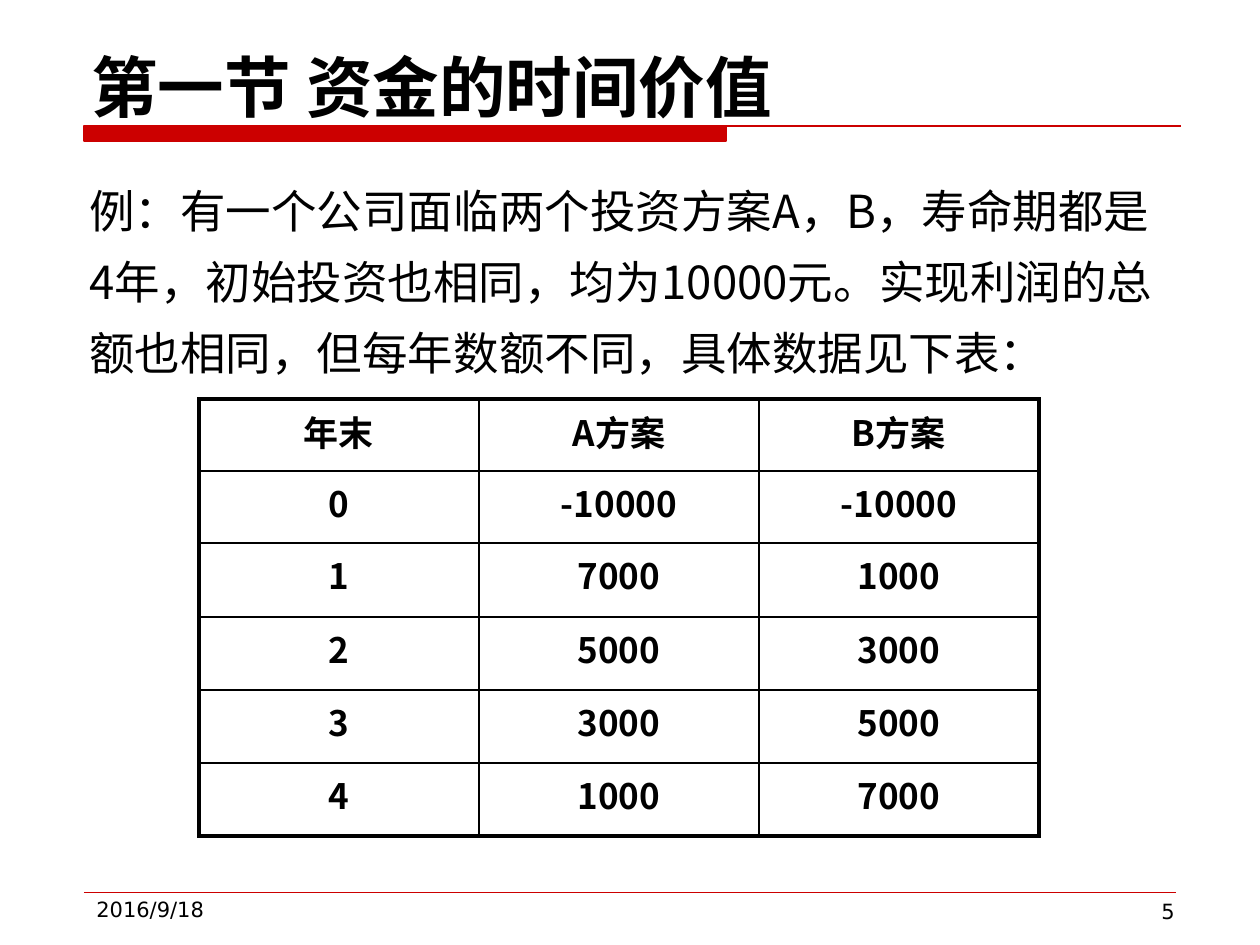
from lxml.etree import SubElement
from pptx import Presentation
from pptx.dml.color import RGBColor
from pptx.enum.shapes import MSO_CONNECTOR as CONN
from pptx.enum.text import MSO_ANCHOR as ANCHOR, PP_ALIGN as ALIGN
from pptx.oxml.ns import qn
from pptx.util import Pt

PX = 914400 // 126
CJK, SANS = "Noto Sans CJK SC", "DejaVu Sans"
BLACK, RED = "000000", "CC0000"

TITLE = "第一节 资金的时间价值"
BODY = ("例：有一个公司面临两个投资方案A，B，寿命期都是4年，初始投资也相同，"
        "均为10000元。实现利润的总额也相同，但每年数额不同，具体数据见下表：")
ROWS = [
    ("年末", "A方案", "B方案"),
    ("0", "-10000", "-10000"),
    ("1", "7000", "1000"),
    ("2", "5000", "3000"),
    ("3", "3000", "5000"),
    ("4", "1000", "7000"),
]
ROW_HEIGHTS = [72, 72, 74, 73, 73, 73]
COL_WIDTH = 280
BAR = [(84, 126), (726, 126), (726, 141), (84, 141)]
RULE = [(84, 126), (1181, 126)]


def px(*values):
    return [v * PX for v in values]


def color(value):
    return RGBColor.from_string(value)


def write(tf, text, size, font=CJK, bold=False, align=ALIGN.LEFT):
    p = tf.paragraphs[0]
    p.alignment = align
    r = p.add_run()
    r.text = text
    f = r.font
    f.name, f.size, f.bold = font, Pt(size), bold
    f.color.rgb = color(BLACK)
    SubElement(r._r.get_or_add_rPr(), qn("a:ea"), typeface=font)
    return p


def add_text(box, text, size, anchor=ANCHOR.TOP, top=6, bottom=6, **style):
    tf = s.shapes.add_textbox(*px(*box)).text_frame
    tf.word_wrap = True
    tf.vertical_anchor = anchor
    tf.margin_top, tf.margin_bottom = px(top, bottom)
    return write(tf, text, size, **style)


def add_border(cell, side, width):
    ln = SubElement(cell._tc.get_or_add_tcPr(), qn(f"a:ln{side}"), w=str(Pt(width)))
    fill = SubElement(ln, qn("a:solidFill"))
    SubElement(fill, qn("a:srgbClr"), val=BLACK)


prs = Presentation()
prs.slide_width, prs.slide_height = px(1260, 945)
s = prs.slides.add_slide(prs.slide_layouts[6])

fb = s.shapes.build_freeform(*BAR[0], scale=PX)
fb.add_line_segments(BAR[1:], close=True)
fb.move_to(*RULE[0])
fb.add_line_segments(RULE[1:], close=False)
sp = fb.convert_to_shape()
sp.shadow.inherit = False
sp.fill.solid()
sp.fill.fore_color.rgb = sp.line.color.rgb = color(RED)
sp.line.width = Pt(0.75)

footer = s.shapes.add_connector(CONN.STRAIGHT, *px(84, 892, 1176, 892))
footer.line.color.rgb = color(RED)
footer.line.width = Pt(0.25)
SubElement(footer._element.spPr, qn("a:effectLst"))

add_text((84, 891, 273, 44), "2016/9/18", 12, font=SANS)
add_text((914, 893, 273, 34), "5", 12, font=SANS, align=ALIGN.RIGHT)
add_text((79, 0, 1103, 126), TITLE, 38, ANCHOR.BOTTOM, bottom=0, bold=True)

frame = s.shapes.add_table(len(ROWS), len(ROWS[0]),
                           *px(199, 399, COL_WIDTH * len(ROWS[0]), sum(ROW_HEIGHTS)))
table = frame.table
table.first_row = table.horz_banding = False
for col in table.columns:
    col.width = COL_WIDTH * PX
for i, (values, height) in enumerate(zip(ROWS, ROW_HEIGHTS)):
    table.rows[i].height = height * PX
    for j, value in enumerate(values):
        cell = table.cell(i, j)
        write(cell.text_frame, value, 20, bold=True, align=ALIGN.CENTER)
        outer = {"L": j == 0, "R": j == len(values) - 1,
                 "T": i == 0, "B": i == len(ROWS) - 1}
        for side, is_outer in outer.items():
            add_border(cell, side, 2.25 if is_outer else 1)
        cell.fill.background()

body = add_text((77, 157, 1092, 220), BODY, 26, top=10)
body.line_spacing = Pt(40.5)

prs.save("out.pptx")
